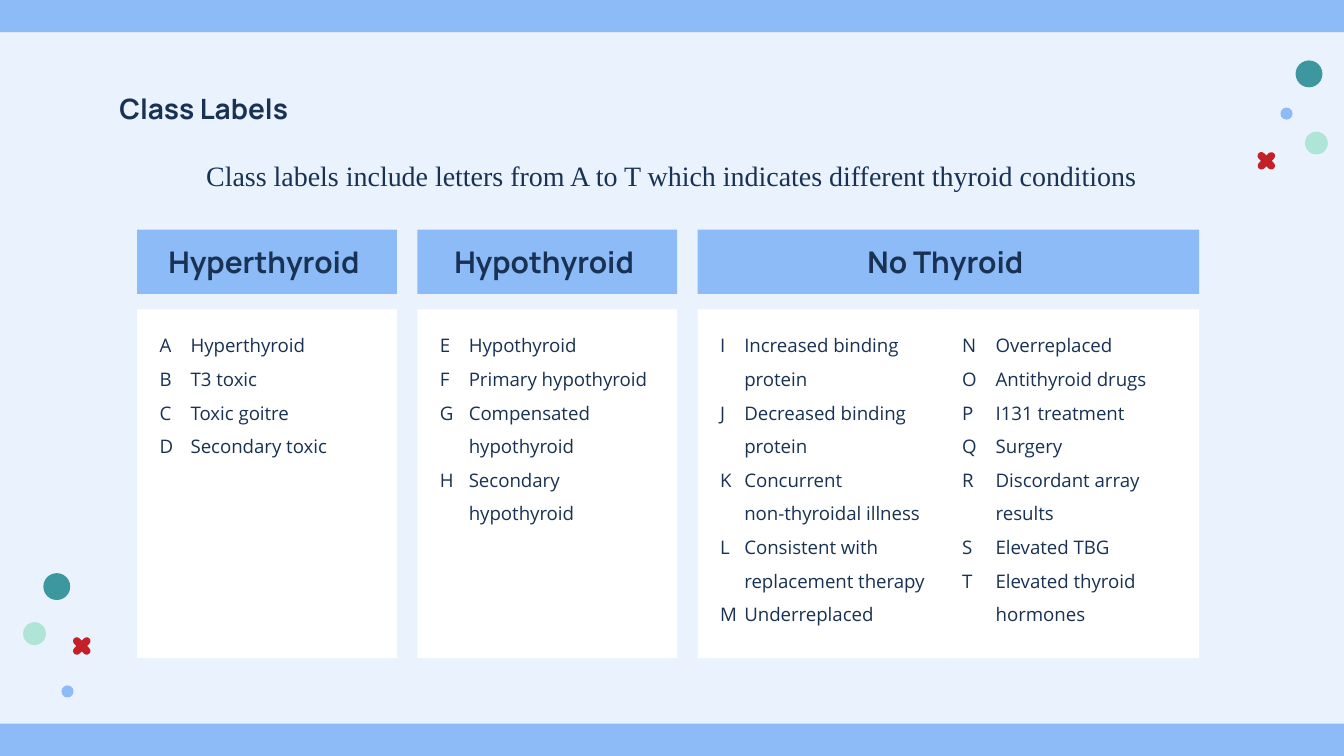
"""Build the thyroid class labels slide on a grid of 100 columns by 56.25 rows."""
from pptx import Presentation
from pptx import util as u
from pptx.dml.color import RGBColor
from pptx.enum import shapes, text

COLORS = {"back": "E9F2FD", "sky": "8CBBF7", "navy": "193253", "white": "FFFFFF",
          "teal": "3C989E", "mint": "AFE5D6", "red": "C42027"}
COLUMNS, ROWS = 100, 56.25
CELL = u.Inches(0.1)

deck = Presentation()
deck.slide_width, deck.slide_height = int(COLUMNS * CELL), int(ROWS * CELL)
slide = deck.slides.add_slide(deck.slide_layouts[6])
slide.background.fill.solid()
slide.background.fill.fore_color.rgb = RGBColor.from_string(COLORS["back"])


def add_block(kind, left, top, width, height, color):
    block = slide.shapes.add_shape(kind, *(int(n * CELL) for n in (left, top, width, height)))
    block.shadow.inherit = False
    block.fill.solid()
    block.fill.fore_color.rgb = RGBColor.from_string(COLORS[color])
    block.line.fill.background()
    return block


def add_words(paragraph, words, font, size, bold=False):
    run = paragraph.add_run()
    run.text = words
    run.font.name, run.font.size, run.font.bold = font, u.Pt(size), bold
    run.font.color.rgb = RGBColor.from_string(COLORS["navy"])


RECT, OVAL, ROUND = (shapes.MSO_SHAPE.RECTANGLE, shapes.MSO_SHAPE.OVAL,
                     shapes.MSO_SHAPE.ROUNDED_RECTANGLE)

BAND = 2.4
for band_top in (0, ROWS - BAND):
    add_block(RECT, 0, band_top, COLUMNS, BAND, "sky")

dots = [(2.57, 47.15, 1.7, "mint"), (5.02, 51.45, 0.9, "sky"), (4.23, 43.65, 2, "teal"),
        (97.95, 10.65, 1.7, "mint"), (95.72, 8.45, 0.9, "sky"), (97.4, 5.5, 2, "teal")]
for x, y, size, color in dots:
    add_block(OVAL, x - size / 2, y - size / 2, size, size, color)

ARM, THICK = 1.6, 0.56
for x, y in ((6.08, 48.07), (94.22, 11.97)):
    for angle in (45, 135):
        cross_arm = add_block(ROUND, x - ARM / 2, y - THICK / 2, ARM, THICK, "red")
        cross_arm.adjustments[0] = 0.5
        cross_arm.rotation = angle

headlines = [
    (7.9, 5.8, 84.3, "Class Labels", "Manrope", True, text.PP_ALIGN.LEFT),
    (10.5, 10.8, 79, "Class labels include letters from A to T which indicates different thyroid conditions",
     "Times New Roman", False, text.PP_ALIGN.CENTER),
]
for left, top, width, words, font, bold, align in headlines:
    headline = slide.shapes.add_textbox(*(int(n * CELL) for n in (left, top, width, 4.6))).text_frame
    headline.word_wrap = True
    headline.margin_left = headline.margin_right = headline.margin_top = headline.margin_bottom = CELL
    headline.paragraphs[0].alignment = align
    add_words(headline.paragraphs[0], words, font, 15, bold)

LEFT, PITCH, PANEL, RIGHT = 10.2, 20.85, 19.33, 89.23
starts = [LEFT + PITCH * n for n in range(3)]

groups = [("Hyperthyroid ", PANEL), ("Hypothyroid ", PANEL), ("No Thyroid ", RIGHT - starts[2])]
for start, (group, width) in zip(starts, groups):
    heading = add_block(RECT, start, 17.08, width, 4.8, "sky").text_frame
    heading.vertical_anchor = text.MSO_ANCHOR.MIDDLE
    heading.paragraphs[0].alignment = text.PP_ALIGN.CENTER
    add_words(heading.paragraphs[0], group, "Manrope", 16, True)

panels = [
    (2.3, ["A\tHyperthyroid", "B\tT3 toxic", "C\tToxic goitre", "D\tSecondary toxic"]),
    (2.15, ["E\tHypothyroid", "F\tPrimary hypothyroid", "G\tCompensated", "hypothyroid",
            "H\tSecondary", "hypothyroid"]),
    (1.8, ["I\tIncreased binding", "protein", "J\tDecreased binding", "protein",
           "K\tConcurrent", "non-thyroidal illness", "L\tConsistent with",
           "replacement therapy", "M\tUnderreplaced"]),
    (2.5, ["N\tOverreplaced", "O\tAntithyroid drugs", "P\tI131 treatment", "Q\tSurgery",
           "R\tDiscordant array", "results", "S\tElevated TBG", "T\tElevated thyroid",
           "hormones"]),
]
for start, (hang, lines) in zip(starts + [RIGHT - PANEL], panels):
    panel = add_block(RECT, start, 23.02, PANEL, 25.95, "white").text_frame
    panel.word_wrap = True
    panel.vertical_anchor = text.MSO_ANCHOR.TOP
    panel.margin_left = panel.margin_right = panel.margin_top = panel.margin_bottom = CELL
    for n, line in enumerate(lines):
        entry = panel.paragraphs[0] if n == 0 else panel.add_paragraph()
        entry.alignment = text.PP_ALIGN.JUSTIFY
        entry.line_spacing = 1.5
        properties = entry._p.get_or_add_pPr()
        properties.set("marL", str(int((0.7 + hang) * CELL)))
        properties.set("indent", str(int(-hang * CELL) if "\t" in line else 0))
        add_words(entry, line, "Open Sans", 10)

deck.save("out.pptx")
